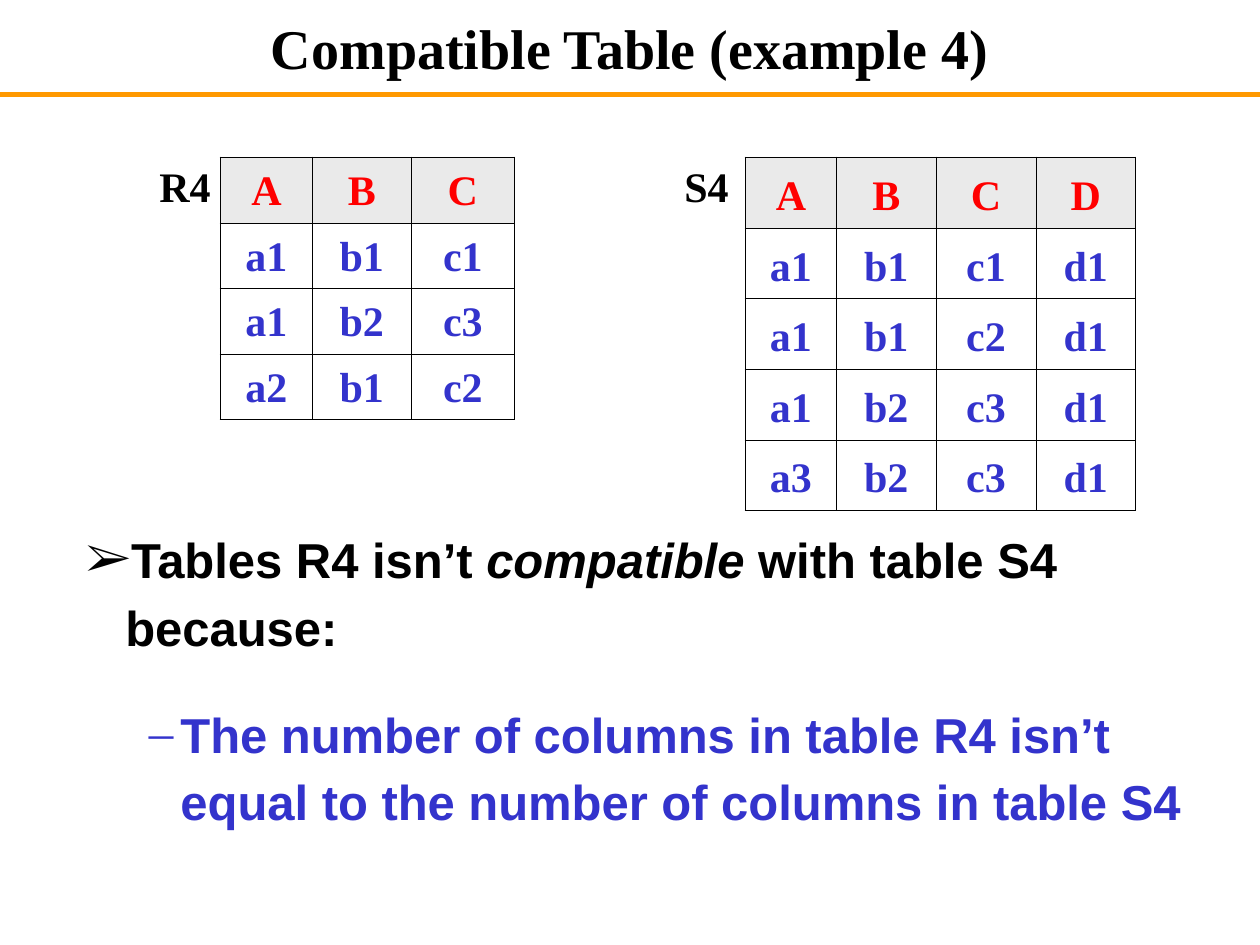
from lxml.etree import SubElement
from pptx import Presentation
from pptx.dml.color import RGBColor
from pptx.enum.shapes import MSO_CONNECTOR as Connector
from pptx.enum.text import MSO_ANCHOR as Anchor, MSO_AUTO_SIZE as AutoSize, PP_ALIGN as Align
from pptx.oxml.ns import qn
from pptx.util import Pt

BLACK, WHITE, GRAY = "000000", "FFFFFF", "EAEAEA"
RED, BLUE, ORANGE = "FF0000", "3333CC", "FF9900"
SERIF, SANS = "Times New Roman", "Arial"
OUTER, INNER = 1.08, 0.45


def color(code):
    return RGBColor.from_string(code)


def add_span(para, text, size, face, tint, italic=False):
    span = para.add_run()
    span.text = text
    font = span.font
    font.size, font.name, font.bold, font.italic = Pt(size), face, True, italic
    font.color.rgb = color(tint)


def add_title(slide, text):
    title = slide.shapes.title
    title.left, title.top, title.width, title.height = Pt(54), Pt(6), Pt(612), Pt(42)
    frame = title.text_frame
    frame.vertical_anchor = Anchor.MIDDLE
    frame.auto_size = AutoSize.NONE
    para = frame.paragraphs[0]
    para.alignment = Align.CENTER
    add_span(para, text, 32, SERIF, BLACK)


def add_rule(slide, y, width):
    rule = slide.shapes.add_connector(Connector.STRAIGHT, Pt(0), Pt(y), width, Pt(y))
    rule.line.color.rgb = color(ORANGE)
    rule.line.width = Pt(3)
    SubElement(rule._element.spPr, qn("a:effectLst"))


def add_box(slide, left, top, width, height):
    box = slide.shapes.add_textbox(Pt(left), Pt(top), Pt(width), Pt(height))
    box.text_frame.word_wrap = True
    return box.text_frame


def add_label(slide, text, left):
    frame = add_box(slide, left, 91.5, 60, 29)
    frame.margin_top = frame.margin_bottom = 0
    add_span(frame.paragraphs[0], text, 24, SERIF, BLACK)


def set_borders(cell, widths):
    """Draw the cell's edges; widths maps L, R, T and B to points."""
    props = cell._tc.get_or_add_tcPr()
    for side, width in widths.items():
        edge = SubElement(props, qn(f"a:ln{side}"), w=str(Pt(width)))
        fill = SubElement(edge, qn("a:solidFill"))
        SubElement(fill, qn("a:srgbClr"), val=BLACK)


def add_relation(slide, rows, left, widths, row_height, spacing):
    """Add a table whose first row is the header and whose outer frame is heavier."""
    last_row, last_col = len(rows) - 1, len(widths) - 1
    table = slide.shapes.add_table(len(rows), len(widths), Pt(left), Pt(90),
                                   Pt(sum(widths)), Pt(row_height * len(rows))).table
    for column, width in zip(table.columns, widths):
        column.width = Pt(width)
    for r, values in enumerate(rows):
        table.rows[r].height = Pt(row_height)
        for c, value in enumerate(values):
            cell = table.cell(r, c)
            on_frame = {"L": c == 0, "R": c == last_col, "T": r == 0, "B": r == last_row}
            set_borders(cell, {side: OUTER if outer else INNER
                               for side, outer in on_frame.items()})
            cell.fill.solid()
            cell.fill.fore_color.rgb = color(WHITE if r else GRAY)
            cell.vertical_anchor = Anchor.MIDDLE
            para = cell.text_frame.paragraphs[0]
            para.alignment = Align.CENTER
            para.line_spacing = spacing
            add_span(para, value, 24, SERIF, BLUE if r else RED)


def format_bullet(para, symbol, tint, level, margin, hanging):
    para.level = level
    para.line_spacing = 1.15
    props = para._p.get_or_add_pPr()
    props.set("marL", str(Pt(margin)))
    props.set("indent", str(-Pt(hanging)))
    fill = SubElement(props, qn("a:buClr"))
    SubElement(fill, qn("a:srgbClr"), val=tint)
    SubElement(props, qn("a:buFont"), typeface=SERIF)
    SubElement(props, qn("a:buChar"), char=symbol)


def add_explanation(slide):
    frame = add_box(slide, 6, 294, 694, 216)
    claim = frame.paragraphs[0]
    format_bullet(claim, "➢", BLACK, 1, 58.5, 22.5)
    for text, italic in (("Tables R4 isn’t ", False), ("compatible", True),
                         (" with table S4 because:", False)):
        add_span(claim, text, 28, SANS, BLACK, italic)
    reason = frame.add_paragraph()
    reason.space_before = Pt(22.5)
    format_bullet(reason, "–", BLUE, 2, 90, 18)
    add_span(reason, "The number of columns in table R4 isn’t equal to "
                     "the number of columns in table S4", 28, SANS, BLUE)


def main():
    deck = Presentation()
    deck.slide_width, deck.slide_height = Pt(720), Pt(540)
    slide = deck.slides.add_slide(deck.slide_layouts[5])
    add_rule(slide, 54, deck.slide_width)
    add_title(slide, "Compatible Table (example 4)")
    add_explanation(slide)

    r4 = ["A B C", "a1 b1 c1", "a1 b2 c3", "a2 b1 c2"]
    s4 = ["A B C D", "a1 b1 c1 d1", "a1 b1 c2 d1", "a1 b2 c3 d1", "a3 b2 c3 d1"]
    add_relation(slide, [row.split() for row in r4], 126, [52.5, 56.5, 59], 36.5, 1.05)
    add_label(slide, "R4", 84)
    add_relation(slide, [row.split() for row in s4], 426, [52, 57, 57, 57], 38.9, 1.15)
    add_label(slide, "S4", 384)
    deck.save("out.pptx")


if __name__ == "__main__":
    main()
